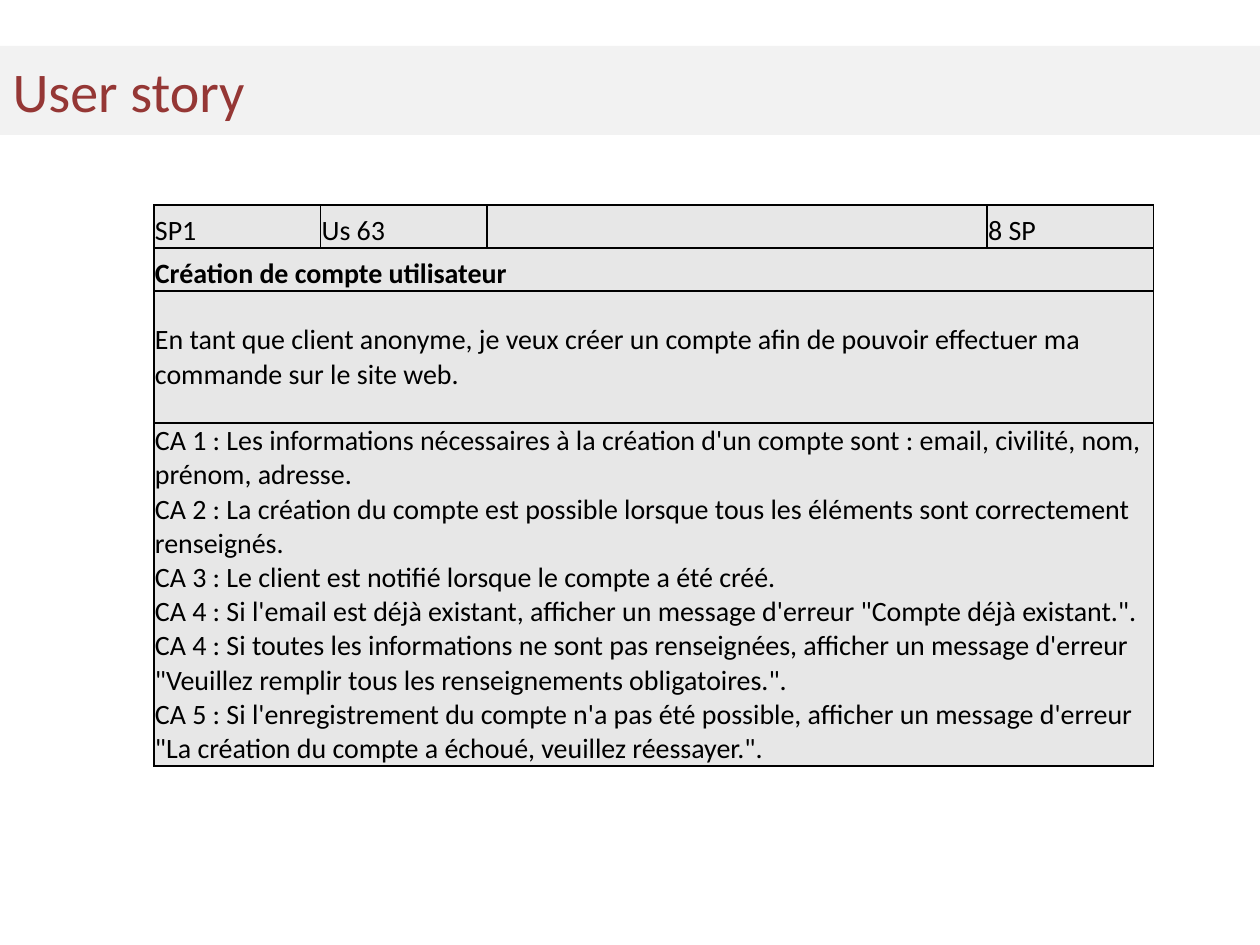
from copy import deepcopy
from dataclasses import dataclass

from lxml import etree
from pptx import Presentation
from pptx import util as u
from pptx.dml.color import RGBColor
from pptx.enum import text
from pptx.oxml.ns import qn

PX = u.Inches(1) // 126


@dataclass(frozen=True)
class Theme:
    font: str = "Calibri"
    band: str = "F2F2F2"
    title: str = "953735"
    cell: str = "E7E7E7"
    ink: str = "000000"
    head: int = 32
    body: int = 16


class Deck:
    def __init__(self, theme):
        self.theme = theme
        self.prs = Presentation()
        self.prs.slide_width = u.Inches(10)
        self.prs.slide_height = u.Inches(7.5)
        self.slide = self.prs.slides.add_slide(self.prs.slide_layouts[5])

    def fill(self, item, color):
        item.fill.solid()
        item.fill.fore_color.rgb = RGBColor.from_string(color)

    def runs(self, para, words, size, color, bold=False):
        """Add one run per line, with line breaks of the same size between."""
        for i, line in enumerate(words.split("\n")):
            if i:
                para.add_line_break()
                para._p[-1].append(deepcopy(run._r.rPr))
            run = para.add_run()
            run.text = line
            font = run.font
            font.name, font.size, font.bold = self.theme.font, u.Pt(size), bold
            font.color.rgb = RGBColor.from_string(color)

    def title(self, words, x, y, w, h):
        box = self.slide.shapes.title
        box.left, box.top, box.width, box.height = (v * PX for v in (x, y, w, h))
        self.fill(box, self.theme.band)
        frame = box.text_frame
        frame.vertical_anchor = text.MSO_ANCHOR.MIDDLE
        para = frame.paragraphs[0]
        para.alignment = text.PP_ALIGN.LEFT
        self.runs(para, words, self.theme.head, self.theme.title)

    def edge(self, cell, sides):
        """Draw the sides named out of L, R, T and B; clear the others."""
        props = cell._tc.get_or_add_tcPr()
        for side in "LRTB":
            line = etree.SubElement(props, qn(f"a:ln{side}"), w=str(u.Pt(1)))
            if side in sides:
                paint = etree.SubElement(line, qn("a:solidFill"))
                etree.SubElement(paint, qn("a:srgbClr"), val=self.theme.ink)
            else:
                etree.SubElement(line, qn("a:noFill"))

    def cell(self, cell, sides):
        self.edge(cell, sides)
        self.fill(cell, self.theme.cell)
        cell.margin_left = cell.margin_right = cell.margin_top = PX
        cell.margin_bottom = 0
        cell.vertical_anchor = text.MSO_ANCHOR.BOTTOM

    def table(self, rows, cols, x, y, w):
        """Each row is (height, merged, [(words, span, bold), ...])."""
        high = sum(row[0] for row in rows)
        grid = self.slide.shapes.add_table(
            len(rows), cols, x * PX, y * PX, w * PX, high * PX).table
        grid.first_row = grid.horz_banding = False
        for r, (tall, merged, parts) in enumerate(rows):
            grid.rows[r].height = tall * PX
            start = 0
            for words, span, bold in parts:
                last = start + span - 1
                for c in range(start, last + 1):
                    sides = "TB" + "L" * (c == start) + "R" * (merged or c == last)
                    self.cell(grid.cell(r, c), sides)
                first = grid.cell(r, start)
                if merged:
                    first.merge(grid.cell(r, last))
                if words:
                    para = first.text_frame.paragraphs[0]
                    self.runs(para, words, self.theme.body, self.theme.ink, bold)
                start = last + 1
        return grid


NEED = ("En tant que client anonyme, je veux créer un compte afin de pouvoir "
        "effectuer ma commande sur le site web.")
TESTS = "\n".join([
    "CA 1 : Les informations nécessaires à la création d'un compte sont : "
    "email, civilité, nom, prénom, adresse.",
    "CA 2 : La création du compte est possible lorsque tous les éléments sont "
    "correctement renseignés.",
    "CA 3 : Le client est notifié lorsque le compte a été créé.",
    "CA 4 : Si l'email est déjà existant, afficher un message d'erreur "
    "\"Compte déjà existant.\".",
    "CA 4 : Si toutes les informations ne sont pas renseignées, afficher un "
    "message d'erreur \"Veuillez remplir tous les renseignements obligatoires.\".",
    "CA 5 : Si l'enregistrement du compte n'a pas été possible, afficher un "
    "message d'erreur \"La création du compte a échoué, veuillez réessayer.\".",
])
ROWS = [
    (43, False, [("SP1", 1, False), ("Us 63", 1, False),
                 ("", 3, False), ("8 SP", 1, False)]),
    (43, True, [("Création de compte utilisateur", 6, True)]),
    (132, True, [(NEED, 6, False)]),
    (338, True, [(TESTS, 6, False)]),
]


def main():
    deck = Deck(Theme())
    deck.title("User story", 0, 46, 1260, 89)
    story = deck.table(ROWS, 6, 154, 205, 1000)
    story.cell(2, 0).vertical_anchor = text.MSO_ANCHOR.MIDDLE
    tests = story.cell(3, 0).text_frame.paragraphs[0]
    tests.space_before = tests.space_after = u.Pt(2)
    deck.prs.save("out.pptx")


if __name__ == "__main__":
    main()
